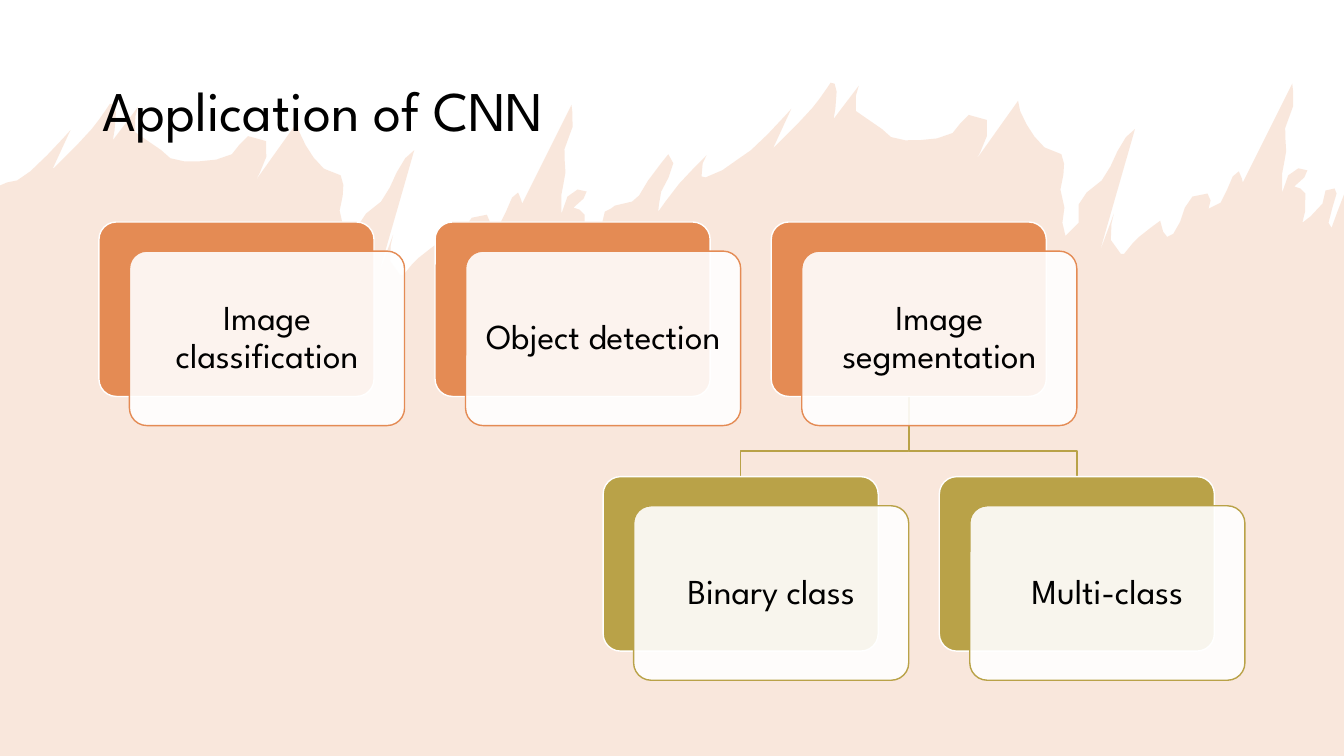
from dataclasses import dataclass
from itertools import pairwise

from lxml import etree
from pptx import Presentation
from pptx import util as u
from pptx.dml.color import RGBColor
from pptx.enum import shapes, text
from pptx.oxml import ns

# Content: label, column, row, level
TITLE = "Application of CNN"
APPLICATIONS = [
    ("Image classification", 0, 0, "main"),
    ("Object detection", 1, 0, "main"),
    ("Image segmentation", 2, 0, "main"),
    ("Binary class", 1.5, 1, "sub"),
    ("Multi-class", 2.5, 1, "sub"),
]
BRANCHES = [(2, 3), (2, 4)]

# Torn paper edge, in units of 0.72 pt; the crest appears twice
EDGE_UNIT = 0.72
CREST_SHIFT = (-715, 21)
EDGE_START = [(0, 184), (7, 181), (17, 179)]
CREST = [
    (745, 149), (785, 108), (767, 147), (806, 107), (820, 88), (824, 82),
    (828, 83), (830, 91), (827, 118), (852, 85), (849, 110), (859, 117),
    (875, 128), (884, 136), (913, 139), (945, 132), (961, 114), (979, 119),
    (968, 159), (1010, 100), (1012, 110), (1036, 146), (1038, 147),
    (1053, 153), (1055, 173), (1052, 188), (1056, 206), (1054, 221),
    (1057, 234), (1070, 221), (1070, 203), (1078, 191), (1093, 179),
    (1117, 136), (1126, 128), (1091, 250), (1105, 212), (1102, 238),
    (1112, 252), (1115, 252), (1124, 241), (1130, 235), (1151, 219),
    (1154, 230), (1158, 235), (1164, 232), (1183, 195), (1198, 192),
    (1201, 199), (1199, 207), (1211, 201), (1223, 175), (1229, 170),
    (1232, 177), (1233, 181), (1282, 83), (1283, 105), (1275, 127),
    (1276, 150), (1272, 172), (1272, 191), (1278, 174), (1288, 167),
    (1297, 169), (1294, 176), (1284, 185), (1290, 187), (1295, 192),
    (1292, 221), (1312, 202), (1315, 189),
]
EDGE_BRIDGE = [
    (606, 207), (610, 204), (627, 200), (634, 194), (643, 179), (663, 153),
    (668, 162), (656, 190), (653, 210), (674, 182), (701, 154), (696, 175),
    (700, 176), (732, 158),
]
EDGE_END = [(1324, 187), (1326, 192), (1318, 221), (1321, 226), (1333, 193)]


@dataclass(frozen=True)
class Theme:
    font: str = "League Spartan"
    title_size: float = 40
    label_size: float = 25
    ink: str = "000000"
    paper: str = "FFFFFF"
    main: str = "E48B54"
    sub: str = "B9A248"
    torn_alpha: int = 20
    card_alpha: int = 90
    line_width: float = 1


theme = Theme()

# Layout, in points
SLIDE_W, SLIDE_H = 960, 540
CARD_W, CARD_H = 196.5, 124.6
GRID_X, GRID_Y = 70.7, 158.6
PITCH_X, PITCH_Y = 240.1, 181.9
FRONT_DX, FRONT_DY = 21.8, 20.8
BEND_RISE = 18.3


def card_corner(column, row):
    return GRID_X + column * PITCH_X, GRID_Y + row * PITCH_Y


def paint(shape, fill, line=None, alpha=100):
    shape.shadow.inherit = False
    if fill is None:
        shape.fill.background()
    else:
        shape.fill.solid()
        shape.fill.fore_color.rgb = RGBColor.from_string(fill)
        if alpha < 100:
            color = next(shape.element.iter(ns.qn("a:srgbClr")))
            etree.SubElement(color, ns.qn("a:alpha")).set("val", str(alpha * 1000))
    if line is None:
        shape.line.fill.background()
    else:
        shape.line.color.rgb = RGBColor.from_string(line)
        shape.line.width = u.Pt(theme.line_width)


def style_text(frame, label, size, align):
    frame.text = label
    frame.word_wrap = True
    frame.auto_size = text.MSO_AUTO_SIZE.NONE
    frame.vertical_anchor = text.MSO_ANCHOR.MIDDLE
    paragraph = frame.paragraphs[0]
    paragraph.alignment = align
    paragraph.line_spacing = 0.9
    paragraph.font.name = theme.font
    paragraph.font.size = u.Pt(size)
    paragraph.font.color.rgb = RGBColor.from_string(theme.ink)


def smooth_edge(points):
    """Round the longer gentle bends and keep sharp tips sharp."""
    knots = [complex(*point) for point in points]
    legs = [end - start for start, end in pairwise(knots)]
    units = [leg / abs(leg) for leg in legs]
    bends = [0]
    for before, after in pairwise(units):
        gentle = (before * after.conjugate()).real > 0
        bends.append((before + after) / abs(before + after) if gentle else 0)
    bends.append(0)
    curve = [points[0]]
    for i, (start, end) in enumerate(pairwise(knots)):
        length = abs(legs[i])
        leave, arrive = start + bends[i] * length / 3, end - bends[i + 1] * length / 3
        steps = 1 + min(2, int(length / 20))
        for step in range(1, steps + 1):
            t = step / steps
            s = 1 - t
            p = s**3 * start + 3 * s * s * t * leave + 3 * s * t * t * arrive + t**3 * end
            curve.append((p.real, p.imag))
    return curve


def add_outline(slide, points, scale, close):
    builder = slide.shapes.build_freeform(*points[0], scale=scale)
    builder.add_line_segments(points[1:], close=close)
    return builder.convert_to_shape()


def add_torn_paper(slide):
    dx, dy = CREST_SHIFT
    first_crest = [(x + dx, y + dy) for x, y in CREST]
    edge = smooth_edge(EDGE_START + first_crest + EDGE_BRIDGE + CREST + EDGE_END)
    right, bottom = SLIDE_W / EDGE_UNIT, SLIDE_H / EDGE_UNIT
    edge[-1] = (right, edge[-1][1])
    # Finer local units keep the curve precise
    fine = [(round(x * 100), round(y * 100)) for x, y in edge + [(right, bottom), (0, bottom)]]
    paper = add_outline(slide, fine, u.Pt(EDGE_UNIT) / 100, True)
    paint(paper, theme.main, alpha=theme.torn_alpha)
    slide.shapes.title.element.addprevious(paper.element)


def add_branch(slide, parent, child):
    parent_x, parent_y = card_corner(*parent[1:3])
    child_x, child_y = card_corner(*child[1:3])
    start_x, end_x = parent_x + CARD_W / 2, child_x + CARD_W / 2
    bend_y = child_y - BEND_RISE
    route = [(start_x, parent_y + CARD_H), (start_x, bend_y), (end_x, bend_y), (end_x, child_y)]
    branch = add_outline(slide, [(u.Pt(x), u.Pt(y)) for x, y in route], 1, False)
    paint(branch, None, theme.sub)


def add_card(slide, label, column, row, level):
    x, y = card_corner(column, row)
    accent = getattr(theme, level)
    layers = [
        (0, 0, accent, theme.paper, 100),
        (FRONT_DX, FRONT_DY, theme.paper, accent, theme.card_alpha),
    ]
    for dx, dy, fill, line, alpha in layers:
        card = slide.shapes.add_shape(
            shapes.MSO_SHAPE.ROUNDED_RECTANGLE,
            u.Pt(x + dx), u.Pt(y + dy), u.Pt(CARD_W), u.Pt(CARD_H))
        card.adjustments[0] = 0.1
        paint(card, fill, line, alpha)
    # The front layer carries the label
    style_text(card.text_frame, label, theme.label_size, text.PP_ALIGN.CENTER)


def main():
    deck = Presentation()
    deck.slide_width, deck.slide_height = u.Pt(SLIDE_W), u.Pt(SLIDE_H)
    slide = deck.slides.add_slide(deck.slide_layouts[5])

    # Title
    title = slide.shapes.title
    title.left, title.top = u.Pt(66), u.Pt(28.8)
    title.width, title.height = u.Pt(828), u.Pt(104.4)
    style_text(title.text_frame, TITLE, theme.title_size, text.PP_ALIGN.LEFT)

    # Background
    add_torn_paper(slide)

    # Hierarchy
    for parent, child in BRANCHES:
        add_branch(slide, APPLICATIONS[parent], APPLICATIONS[child])
    for application in APPLICATIONS:
        add_card(slide, *application)

    deck.save("out.pptx")


if __name__ == "__main__":
    main()
